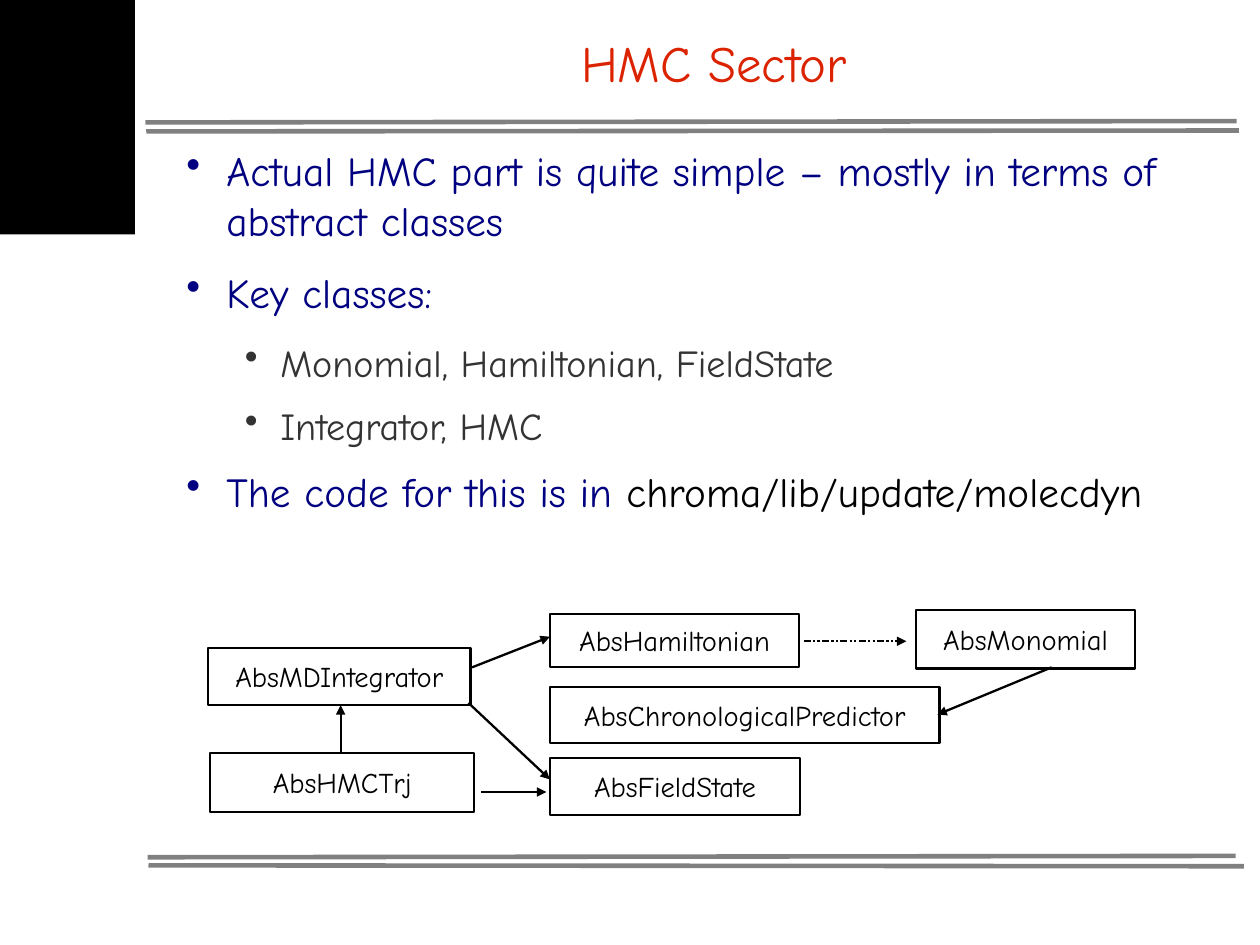
"""Build the HMC Sector slide with its class diagram."""
from lxml import etree
from pptx import Presentation
from pptx import util as u
from pptx.dml.color import RGBColor
from pptx.enum import shapes, text
from pptx.oxml import ns


def color(value):
    """Return the colour for a hex string."""
    return RGBColor.from_string(value)


def add_element(parent, tag, **attributes):
    """Append a DrawingML element to its parent."""
    return etree.SubElement(parent, ns.qn(tag), attributes)


class SlideBuilder:
    """Hold the style and the current slide."""

    font = "Comic Neue"
    black, gray, red, navy, dark = "000000", "808080", "DC2300", "000080", "333333"
    levels = [(26, navy, 1.19, 0.89, 14.2), (24, dark, 2.39, 0.79, 11.3)]

    def __init__(self, presentation):
        """Start a blank slide."""
        self.slide = presentation.slides.add_slide(presentation.slide_layouts[6])

    def style(self, font, size, value):
        """Set typeface, size and colour."""
        font.name, font.size = self.font, u.Pt(size)
        font.color.rgb = color(value)

    def frame(self, shape, inset_x=0, inset_y=0):
        """Prepare the text frame of a shape."""
        frame = shape.text_frame
        frame.word_wrap = True
        frame.margin_left = frame.margin_right = u.Cm(inset_x)
        frame.margin_top = frame.margin_bottom = u.Cm(inset_y)
        return frame

    def label(self, frame, wording, size, value):
        """Write one centred line in a text frame."""
        frame.vertical_anchor = text.MSO_ANCHOR.MIDDLE
        paragraph = frame.paragraphs[0]
        paragraph.text = wording
        paragraph.alignment = text.PP_ALIGN.CENTER
        self.style(paragraph.font, size, value)

    def rectangle(self, *box):
        """Add a plain rectangle."""
        shape = self.slide.shapes.add_shape(shapes.MSO_SHAPE.RECTANGLE, *map(u.Cm, box))
        shape.shadow.inherit = False
        return shape

    def block(self, *box):
        """Add a solid black block."""
        shape = self.rectangle(*box)
        shape.fill.solid()
        shape.fill.fore_color.rgb = color(self.black)
        shape.line.fill.background()

    def class_box(self, name, *box):
        """Add an outlined box with a class name."""
        shape = self.rectangle(*box)
        shape.fill.background()
        shape.line.color.rgb = color(self.black)
        shape.line.width = u.Pt(1.45)
        self.label(self.frame(shape, 0.28, 0.15), name, 18, self.black)

    def title(self, wording, *box):
        """Add the slide title."""
        shape = self.slide.shapes.add_textbox(*map(u.Cm, box))
        self.label(self.frame(shape), wording, 32, self.red)

    def bullets(self, items, *box):
        """Add bulleted paragraphs from levels and coloured runs."""
        frame = self.frame(self.slide.shapes.add_textbox(*map(u.Cm, box)))
        for index, (level, *runs) in enumerate(items):
            paragraph = frame.add_paragraph() if index else frame.paragraphs[0]
            size, value, margin, hanging, after = self.levels[level]
            paragraph.level = level
            paragraph.space_after = u.Pt(after)
            self.style(paragraph.font, size, value)
            properties = paragraph._p.get_or_add_pPr()
            properties.set("marL", str(u.Cm(margin)))
            properties.set("indent", str(-u.Cm(hanging)))
            bullet = etree.Element(ns.qn("a:buChar"), char="•")
            properties.find(ns.qn("a:defRPr")).addprevious(bullet)
            for wording, run_color in runs:
                run = paragraph.add_run()
                run.text = wording
                self.style(run.font, size, run_color)

    def line(self, points, value, width):
        """Add a straight line and return its line properties."""
        connector = self.slide.shapes.add_connector(
            shapes.MSO_CONNECTOR.STRAIGHT, *map(u.Cm, points))
        connector.line.color.rgb = color(value)
        connector.line.width = u.Pt(width)
        add_element(connector._element.spPr, "a:effectLst")
        return connector.line._get_or_add_ln()

    def arrow(self, *points, dash="solid"):
        """Add an arrow that points at its last end."""
        properties = self.line(points, self.black, 1.45)
        add_element(properties, "a:prstDash", val=dash)
        add_element(properties, "a:tailEnd", type="triangle")


def main():
    """Draw the slide and save it."""
    presentation = Presentation()
    presentation.slide_width, presentation.slide_height = u.Cm(28), u.Cm(21)
    builder = SlideBuilder(presentation)
    for rule in [(3.23, 2.72, 27.48, 2.69), (3.25, 2.92, 27.53, 2.9),
                 (3.28, 19.05, 27.46, 19.02), (3.3, 19.23, 27.64, 19.25)]:
        builder.line(rule, builder.gray, 2.89)
    builder.block(0, 0, 3, 5.21)
    builder.title("HMC Sector", 3.99, 0.28, 23.75, 2.21)
    navy, dark = builder.navy, builder.dark
    builder.bullets([
        (0, ("Actual HMC part is quite simple – mostly in terms of abstract classes", navy)),
        (0, ("Key classes:", navy)),
        (1, ("Monomial, Hamiltonian, FieldState", dark)),
        (1, ("Integrator, HMC", dark)),
        (0, ("The code for this is in ", navy),
         ("chroma/lib/update/molecdyn", builder.black)),
    ], 3.84, 3.23, 23.72, 9.96)
    for class_box in [
        ("AbsMonomial", 20.35, 13.56, 4.88, 1.3),
        ("AbsHamiltonian", 12.22, 13.64, 5.54, 1.19),
        ("AbsChronologicalPredictor", 12.22, 15.27, 8.66, 1.24),
        ("AbsFieldState", 12.22, 16.84, 5.56, 1.27),
        ("AbsMDIntegrator", 4.62, 14.4, 5.84, 1.27),
        ("AbsHMCTrj", 4.67, 16.74, 5.87, 1.3),
    ]:
        builder.class_box(*class_box)
    for points in [
        (10.49, 14.83, 12.22, 14.15),
        (10.41, 15.62, 12.22, 17.32),
        (7.57, 16.74, 7.57, 15.67),
        (10.69, 17.6, 12.14, 17.6),
        (23.37, 14.83, 20.83, 15.88),
    ]:
        builder.arrow(*points)
    builder.arrow(17.86, 14.25, 20.14, 14.25, dash="sysDashDotDot")
    presentation.save("out.pptx")


if __name__ == "__main__":
    main()
